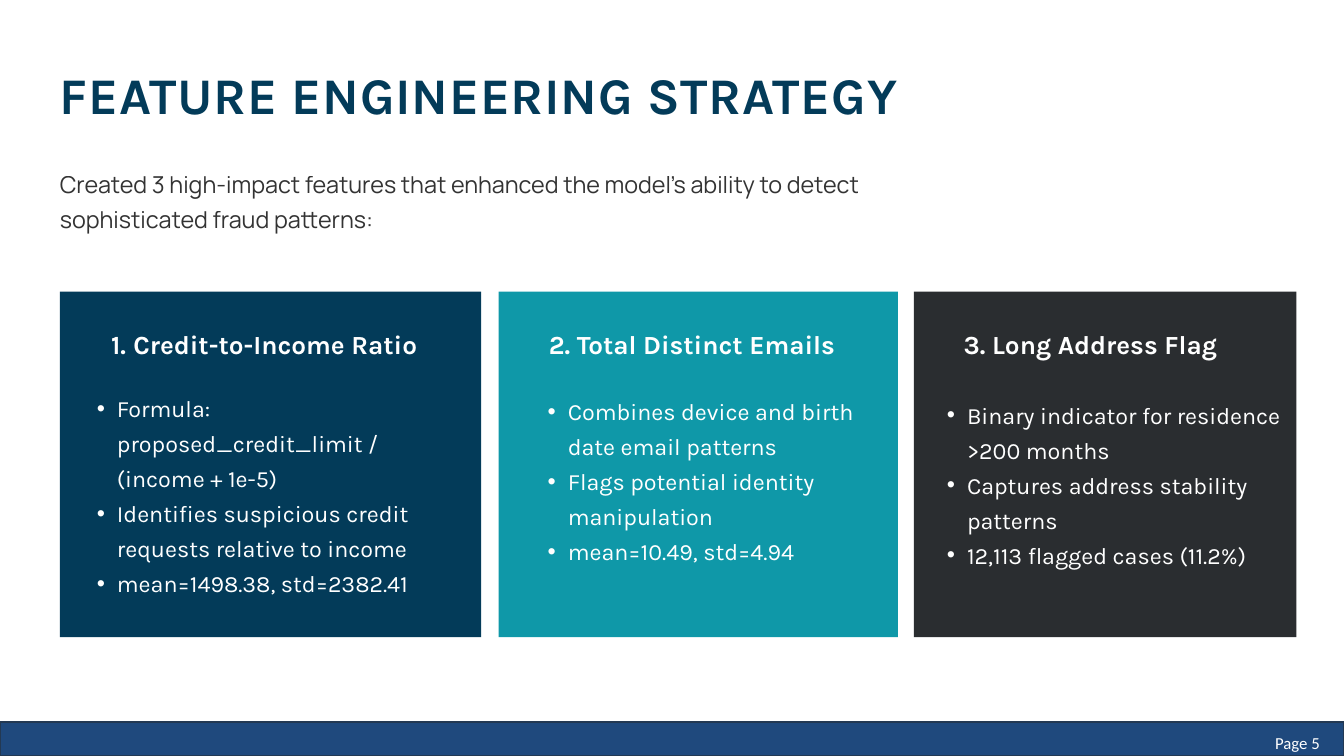
import pptx
import pptx.util
import pptx.dml.color
import pptx.enum.shapes
import pptx.enum.text
import pptx.oxml.ns
import lxml.etree

Inches = pptx.util.Inches
Pt = pptx.util.Pt
Align = pptx.enum.text.PP_ALIGN

COLORS = {"navy": "033B59", "teal": "0F98A8", "charcoal": "2A2D30", "white": "FFFFFF",
          "black": "000000", "footer": "1F497D", "footer_line": "233953"}

TITLE = "FEATURE ENGINEERING STRATEGY"
INTRO = ["Created 3 high-impact features that enhanced the model's ability to detect",
         "sophisticated fraud patterns:"]
PAGE_LABEL = "Page 5"

CARDS = [
    {"color": "navy", "left": 0.89, "width": 6.27, "numbered": True,
     "heading": "Credit-to-Income Ratio", "heading_left": 0.89,
     "list_at": (1.15, 5.76, 5.49, 3.55),
     "points": ["Formula: proposed_credit_limit / (income + 1e-5)",
                "Identifies suspicious credit requests relative to income",
                "mean=1498.38, std=2382.41"]},
    {"color": "teal", "left": 7.42, "width": 5.94, "numbered": False,
     "heading": "2. Total Distinct Emails", "heading_left": 7.42,
     "list_at": (7.86, 5.81, 5.49, 2.53),
     "points": ["Combines device and birth date email patterns",
                "Flags potential identity manipulation",
                "mean=10.49, std=4.94"]},
    {"color": "charcoal", "left": 13.6, "width": 5.69, "numbered": False,
     "heading": "3. Long Address Flag", "heading_left": 13.35,
     "list_at": (13.8, 5.86, 5.49, 3.04),
     "points": ["Binary indicator for residence >200 months",
                "Captures address stability patterns",
                "12,113 flagged cases (11.2%)"]},
]
CARD_TOP, CARD_HEIGHT = 4.34, 5.14
HEADING_TOP, HEADING_WIDTH, HEADING_HEIGHT = 4.77, 5.75, 0.54

STYLES = {
    "title": {"font": {"name": "Karla", "size": Pt(55), "bold": True}, "color": "navy",
              "para": {"line_spacing": Pt(66)}},
    "intro": {"font": {"name": "Manrope", "size": Pt(25)}, "color": "black",
              "para": {"line_spacing": Pt(37.5)}},
    "heading": {"font": {"name": "Karla", "size": Pt(28), "bold": True}, "color": "white",
                "para": {"line_spacing": Pt(42), "alignment": Align.CENTER}},
    "point": {"font": {"name": "Karla", "size": Pt(25)}, "color": "white",
              "para": {"line_spacing": Pt(37.5), "level": 1}},
    "page": {"font": {"name": "Calibri", "size": Pt(18)}, "color": "white",
             "para": {"alignment": Align.RIGHT}},
}


def rgb(name):
    return pptx.dml.color.RGBColor.from_string(COLORS[name])


def set_all(target, values):
    for name, value in values.items():
        setattr(target, name, value)


def add_child(parent, tag, **attributes):
    return lxml.etree.SubElement(parent, pptx.oxml.ns.qn(tag), attributes)


def add_block(page, at, color):
    block = page.shapes.add_shape(pptx.enum.shapes.MSO_SHAPE.RECTANGLE, *map(Inches, at))
    block.shadow.inherit = False
    block.fill.solid()
    block.fill.fore_color.rgb = rgb(color)
    block.line.fill.background()
    return block


def add_text(page, at, lines, style, margins=(0, 0, 0, 0)):
    look = STYLES[style]
    box = page.shapes.add_textbox(*map(Inches, at))
    frame = box.text_frame
    sides = ("margin_left", "margin_top", "margin_right", "margin_bottom")
    set_all(frame, dict(zip(sides, map(Inches, margins))))
    set_all(frame, {"word_wrap": True,
                    "auto_size": pptx.enum.text.MSO_AUTO_SIZE.SHAPE_TO_FIT_TEXT})
    for index, line in enumerate(lines):
        para = frame.add_paragraph() if index else frame.paragraphs[0]
        set_all(para, look["para"])
        span = para.add_run()
        span.text = line
        set_all(span.font, look["font"])
        span.font.color.rgb = rgb(look["color"])
    return frame.paragraphs


def add_marker(para, indent, hanging, tag, **attributes):
    properties = para._p.get_or_add_pPr()
    properties.set("marL", str(Inches(indent)))
    properties.set("indent", str(-Inches(hanging)))
    add_child(properties, "a:buFont", typeface="Arial")
    add_child(properties, tag, **attributes)


def add_card(page, card):
    add_block(page, (card["left"], CARD_TOP, card["width"], CARD_HEIGHT), card["color"])
    heading_at = (card["heading_left"], HEADING_TOP, HEADING_WIDTH, HEADING_HEIGHT)
    heading = add_text(page, heading_at, [card["heading"]], "heading")[0]
    if card["numbered"]:
        heading.level = 1
        add_marker(heading, 0.66, 0.33, "a:buAutoNum", type="arabicPeriod")
    for para in add_text(page, card["list_at"], card["points"], "point"):
        add_marker(para, 0.59, 0.3, "a:buChar", char="•")


def main():
    deck = pptx.Presentation()
    set_all(deck, {"slide_width": Inches(20), "slide_height": Inches(11.25)})
    page = deck.slides.add_slide(deck.slide_layouts[6])

    title = add_text(page, (0.89, 0.94, 15.74, 0.9), [TITLE], "title")[0]
    title.runs[0].font._element.set("spc", "80")

    for para in add_text(page, (0.89, 2.43, 17.98, 1.02), INTRO, "intro"):
        for color in para._p.iter(pptx.oxml.ns.qn("a:srgbClr")):
            add_child(color, "a:alpha", val="80000")

    for card in CARDS:
        add_card(page, card)

    footer = add_block(page, (0, 10.74, 20, 0.51), "footer")
    footer.line.color.rgb = rgb("footer_line")
    footer.line.width = Pt(2)
    add_text(page, (18.77, 10.85, 1.09, 0.4), [PAGE_LABEL], "page", (0.1, 0.05, 0.22, 0.05))

    deck.save("out.pptx")


if __name__ == "__main__":
    main()
